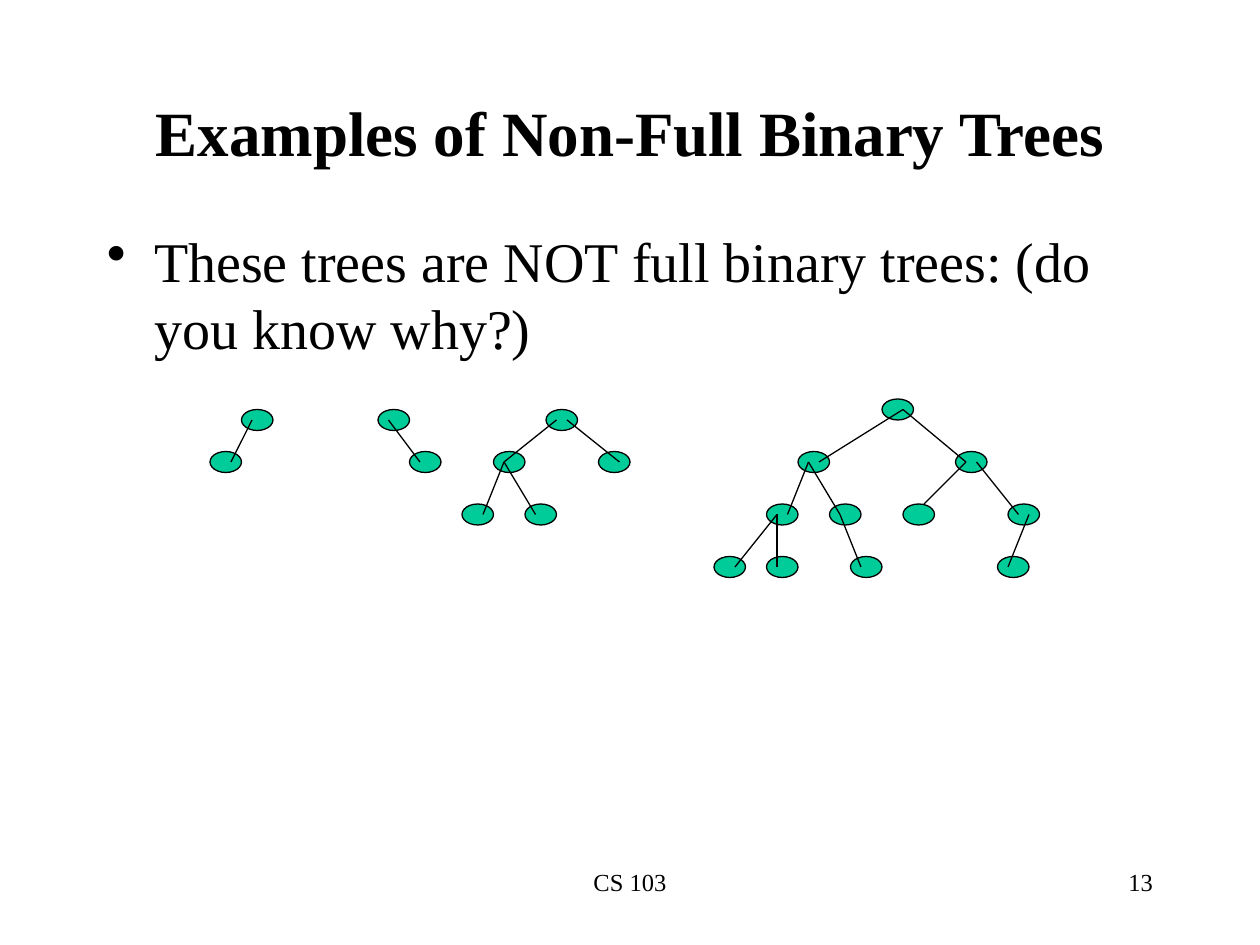
import pptx
import pptx.dml.color
import pptx.enum.shapes
import pptx.enum.text
import pptx.oxml
import pptx.oxml.ns
import pptx.util

PX = 9525  # 96 px to the inch
FONT = "Times New Roman"
BLACK = pptx.dml.color.RGBColor(0, 0, 0)
GREEN = pptx.dml.color.RGBColor(0x00, 0xCC, 0x99)
ALIGN = pptx.enum.text.PP_ALIGN
ANCHOR = pptx.enum.text.MSO_ANCHOR

TITLE = "Examples of Non-Full Binary Trees"
POINT = "These trees are NOT full binary trees: (do you know why?)"
FOOT = "CS 103"
PAGE = "13"

NODE = (24, 16)
# Where an edge meets a node, measured from the node's top left
W, E, TOP = (8, 8), (16, 8), (16, 0)

# Each tree: nodes by their way down from the root, then edges
TREES = [
    ({"root": (184, 312), "L": (160, 344)},
     [("root", W, "L", E)]),
    ({"root": (288, 312), "R": (312, 344)},
     [("root", W, "R", W)]),
    ({"root": (416, 312), "L": (376, 344), "R": (456, 344),
      "LL": (352, 384), "LR": (400, 384)},
     [("root", W, "L", W), ("root", E, "R", E),
      ("L", W, "LL", E), ("L", W, "LR", W)]),
    ({"root": (672, 304), "L": (608, 344), "R": (728, 344),
      "LL": (584, 384), "LR": (632, 384), "RL": (688, 384), "RR": (768, 384),
      "LLL": (544, 424), "LLR": (584, 424), "LRR": (648, 424),
      "RRL": (760, 424)},
     [("root", E, "L", E), ("root", E, "R", W),
      ("L", W, "LL", E), ("L", W, "LR", W),
      ("R", W, "RL", TOP), ("R", E, "RR", W),
      ("LL", W, "LLL", E), ("LL", W, "LLR", W),
      ("LR", W, "LRR", W), ("RR", E, "RRL", W)]),
]


def emu(*nums):
    return [pptx.util.Emu(n * PX) for n in nums]


def write(shape, text, size, align, anchor=ANCHOR.TOP, bold=False):
    frame = shape.text_frame
    frame.word_wrap = True
    frame.auto_size = pptx.enum.text.MSO_AUTO_SIZE.NONE
    frame.vertical_anchor = anchor
    para = frame.paragraphs[0]
    para.alignment = align
    run = para.add_run()
    run.text = text
    run.font.name = FONT
    run.font.size = pptx.util.Pt(size)
    run.font.bold = bold
    run.font.color.rgb = BLACK
    return para


def add_bullet(para, indent):
    props = para._p.get_or_add_pPr()
    props.set("marL", str(indent * PX))
    props.set("indent", str(-indent * PX))
    mark = pptx.oxml.parse_xml(
        '<a:buChar %s char="•"/>' % pptx.oxml.ns.nsdecls("a"))
    props.append(mark)


def add_node(shapes, spot):
    node = shapes.add_shape(
        pptx.enum.shapes.MSO_SHAPE.OVAL, *emu(*spot, *NODE))
    node.shadow.inherit = False
    node.fill.solid()
    node.fill.fore_color.rgb = GREEN
    node.line.color.rgb = BLACK
    node.line.width = pptx.util.Pt(0.75)


def add_edge(shapes, start, end):
    edge = shapes.add_connector(
        pptx.enum.shapes.MSO_CONNECTOR.STRAIGHT, *emu(*start, *end))
    edge.line.color.rgb = BLACK
    edge.line.width = pptx.util.Pt(0.75)
    edge._element.spPr.append(pptx.oxml.parse_xml(
        "<a:effectLst %s/>" % pptx.oxml.ns.nsdecls("a")))


def shift(spot, step):
    return spot[0] + step[0], spot[1] + step[1]


def main():
    deck = pptx.Presentation()
    deck.slide_width, deck.slide_height = emu(960, 720)
    slide = deck.slides.add_slide(deck.slide_layouts[5])
    shapes = slide.shapes

    title = shapes.title
    title.left, title.top, title.width, title.height = emu(72, 64, 816, 72)
    write(title, TITLE, 36, ALIGN.CENTER, ANCHOR.MIDDLE, True)

    body = shapes.add_textbox(*emu(72, 168, 816, 472))
    add_bullet(write(body, POINT, 32, ALIGN.LEFT), 36)

    write(shapes.add_textbox(*emu(328, 656, 304, 48)), FOOT, 14, ALIGN.CENTER)
    write(shapes.add_textbox(*emu(688, 656, 200, 48)), PAGE, 14, ALIGN.RIGHT)

    for nodes, edges in TREES:
        for spot in nodes.values():
            add_node(shapes, spot)
        for parent, out, child, into in edges:
            add_edge(shapes, shift(nodes[parent], out),
                     shift(nodes[child], into))

    deck.save("out.pptx")


if __name__ == "__main__":
    main()
